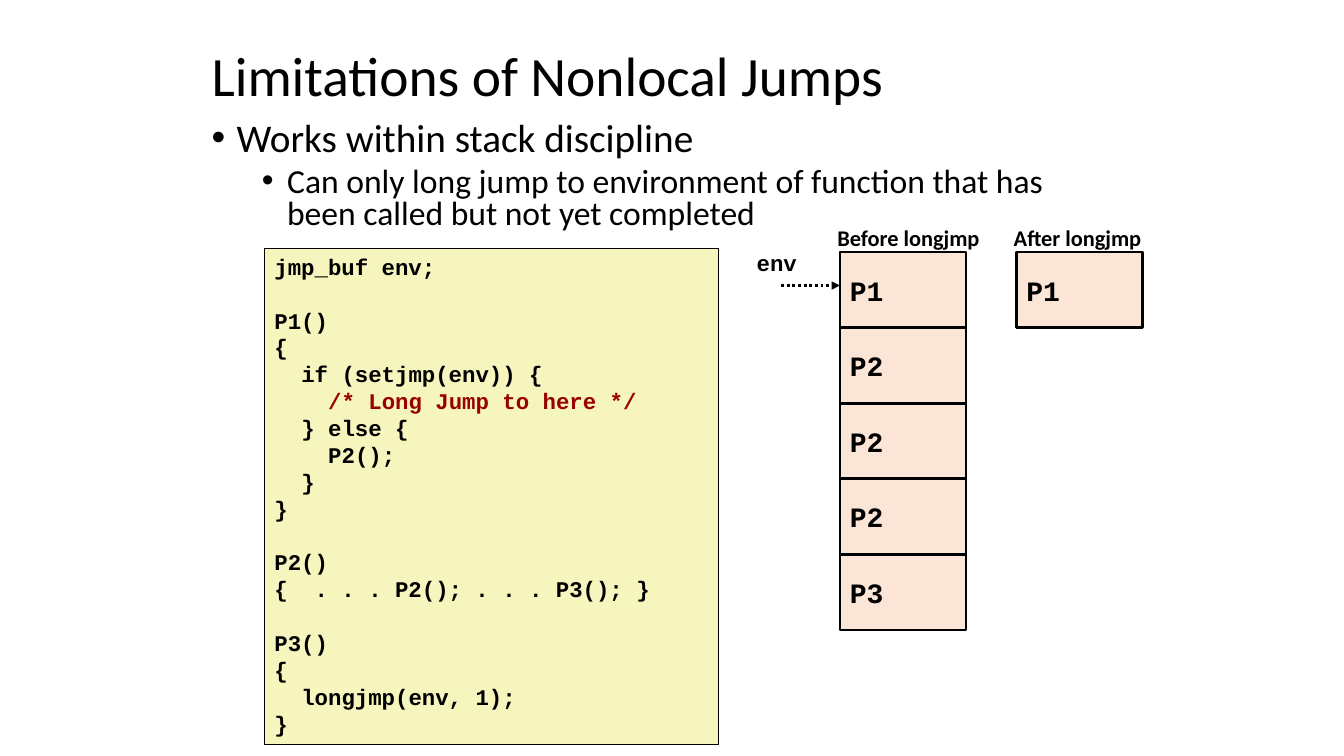
from lxml import etree
from pptx import Presentation
from pptx import util as u
from pptx.dml.color import RGBColor
from pptx.enum import dml, shapes, text
from pptx.oxml.ns import qn

WIDTH, HEIGHT = u.Inches(13.333), u.Inches(7.5)
COLUMN, ROW = WIDTH / 160, HEIGHT / 30
SANS, MONO = "Calibri", "Courier New"
BLACK, COMMENT_RED = "000000", "990000"
CODE_FILL, FRAME_FILL = "F6F5BD", "FBE5D6"
CODE_SIZE = 16
CODE_LINE = 1.2 * CODE_SIZE
CODE_INDENT = 2 * 0.6 * CODE_SIZE / 72  # two monospaced characters, in inches

STACK_TOP, FRAME_COLS, FRAME_ROWS = 10, 15, 3
STACKS = [
    (100, "Before longjmp", 19.5, ["P1", "P2", "P2", "P2", "P3"]),
    (121, "After longjmp", 17.9, ["P1"]),
]
# Each function is a list of (indent level, line, colour).
CODE = [
    [(0, "jmp_buf env;", BLACK)],
    [(0, "P1()", BLACK),
     (0, "{", BLACK),
     (1, "if (setjmp(env)) {", BLACK),
     (2, "/* Long Jump to here */", COMMENT_RED),
     (1, "} else {", BLACK),
     (2, "P2();", BLACK),
     (1, "}", BLACK),
     (0, "}", BLACK)],
    [(0, "P2()", BLACK),
     (0, "{  . . . P2(); . . . P3(); }", BLACK)],
    [(0, "P3()", BLACK),
     (0, "{", BLACK),
     (1, "longjmp(env, 1);", BLACK),
     (0, "}", BLACK)],
]


def rgb(value):
    """Turn a hex string into a colour."""
    return RGBColor.from_string(value)


def grid(*cells):
    """Turn alternating columns and rows into lengths."""
    return [round(n * (ROW if i % 2 else COLUMN)) for i, n in enumerate(cells)]


def write(frame, words, *, size, font=SANS, color=BLACK, bold=False, level=0,
          left=0, bullet=None, line=None, before=0):
    """Add one formatted paragraph to a text frame."""
    first = frame.paragraphs[0]
    para = frame.add_paragraph() if first.runs else first
    para.alignment = text.PP_ALIGN.LEFT
    para.level = level
    para.space_before = u.Pt(before)
    if line:
        para.line_spacing = line
    props = para._p.get_or_add_pPr()
    props.set("marL", str(u.Inches(left)))
    props.set("indent", str(u.Inches(-0.25 if bullet else 0)))
    if bullet:
        etree.SubElement(props, qn("a:buFont")).set("typeface", "Arial")
        etree.SubElement(props, qn("a:buChar")).set("char", bullet)
    run = para.add_run()
    run.text = words
    run.font.name, run.font.size, run.font.bold = font, u.Pt(size), bold
    run.font.color.rgb = rgb(color)


def text_area(slide, *cells, wrap=True, anchor=text.MSO_ANCHOR.TOP):
    """Add an empty text box and return its frame."""
    frame = slide.shapes.add_textbox(*grid(*cells)).text_frame
    frame.word_wrap = wrap
    frame.vertical_anchor = anchor
    return frame


def panel(slide, *cells, fill, outline, anchor):
    """Add a filled, outlined rectangle and return its text frame."""
    box = slide.shapes.add_shape(shapes.MSO_SHAPE.RECTANGLE, *grid(*cells))
    box.shadow.inherit = False
    box.fill.solid()
    box.fill.fore_color.rgb = rgb(fill)
    box.line.color.rgb = rgb(BLACK)
    box.line.width = u.Pt(outline)
    box.text_frame.word_wrap = True
    box.text_frame.vertical_anchor = anchor
    return box.text_frame


def dotted_arrow(slide, *cells):
    """Draw a dotted arrow between two grid points."""
    arrow = slide.shapes.add_connector(shapes.MSO_CONNECTOR.STRAIGHT, *grid(*cells))
    arrow.line.color.rgb = rgb(BLACK)
    arrow.line.width = u.Pt(2)
    arrow.line.dash_style = dml.MSO_LINE.ROUND_DOT
    etree.SubElement(arrow.line._get_or_add_ln(), qn("a:tailEnd")).set("type", "triangle")
    etree.SubElement(arrow._element.spPr, qn("a:effectLst"))


def code_listing(slide):
    """Show the functions, one line's height apart."""
    listing = panel(slide, 31.5, 9.84, 54, 19.68, fill=CODE_FILL, outline=0.25,
                    anchor=text.MSO_ANCHOR.TOP)
    for part, function in enumerate(CODE):
        for number, (depth, words, color) in enumerate(function):
            gap = CODE_LINE if part and number == 0 else 0
            write(listing, words, size=CODE_SIZE, font=MONO, color=color, bold=True,
                  left=depth * CODE_INDENT, before=gap)


def stack(slide, column, caption, caption_cols, calls):
    """Draw a captioned stack of call frames."""
    for depth, call in enumerate(calls):
        frame = panel(slide, column, STACK_TOP + depth * FRAME_ROWS, FRAME_COLS, FRAME_ROWS,
                      fill=FRAME_FILL, outline=2, anchor=text.MSO_ANCHOR.MIDDLE)
        write(frame, call, size=20, font=MONO, bold=True)
    label = text_area(slide, column - 1.5, 8.68, caption_cols, 1.48, wrap=False)
    write(label, caption, size=16, bold=True)


def main():
    """Build and save the slide."""
    deck = Presentation()
    deck.slide_width, deck.slide_height = WIDTH, HEIGHT
    slide = deck.slides.add_slide(deck.slide_layouts[6])

    title = text_area(slide, 24, 1.84, 94.2, 2.52, anchor=text.MSO_ANCHOR.MIDDLE)
    write(title, "Limitations of Nonlocal Jumps", size=39.6, line=0.9)

    points = text_area(slide, 24, 4.68, 109, 5.08)
    write(points, "Works within stack discipline", size=28, left=0.25,
          bullet="•", line=0.8, before=10)
    write(points, "Can only long jump to environment of function that has "
          "been called but not yet completed", size=24, level=1, left=0.75,
          bullet="•", line=0.8, before=5)

    code_listing(slide)
    for column, caption, caption_cols, calls in STACKS:
        stack(slide, column, caption, caption_cols, calls)

    dotted_arrow(slide, 93, 11.33, 100, 11.33)
    env = text_area(slide, 88.9, 9.68, 7.2, 1.48, wrap=False)
    write(env, "env", size=16, font=MONO, bold=True)
    deck.save("out.pptx")


main()
